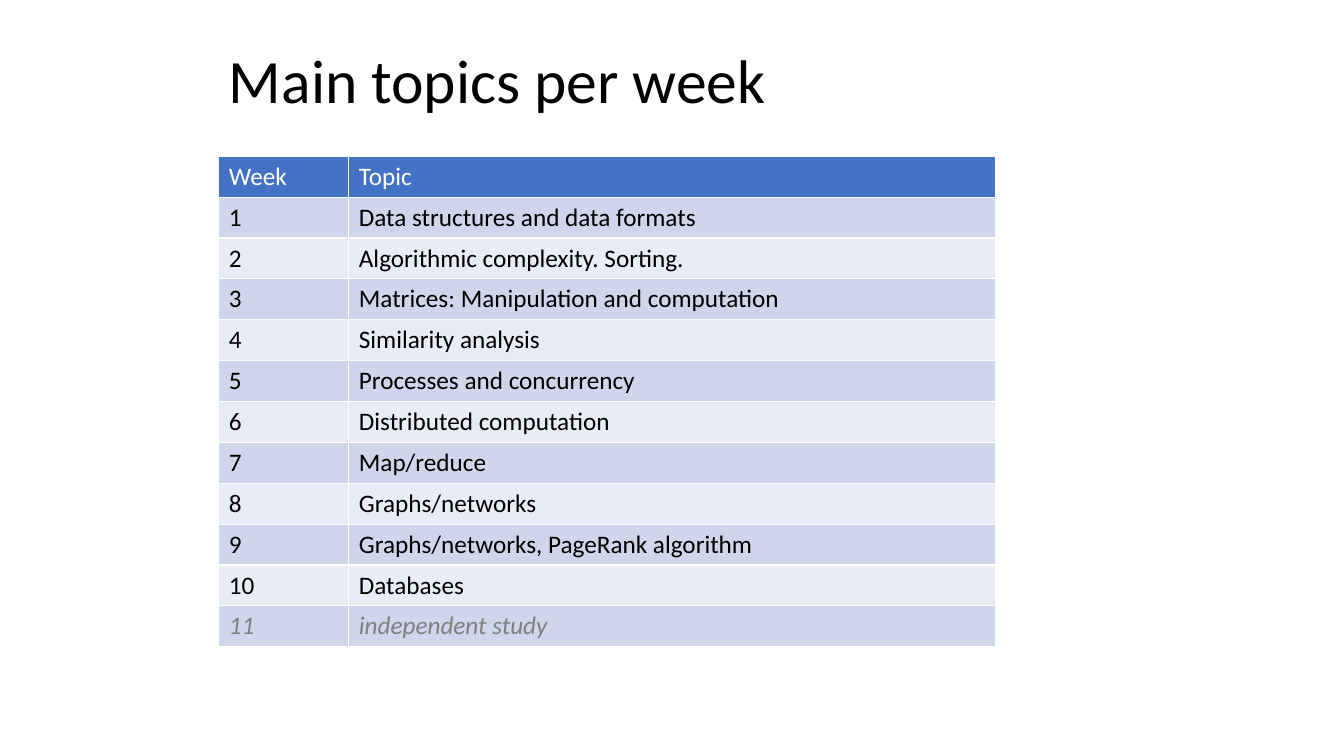
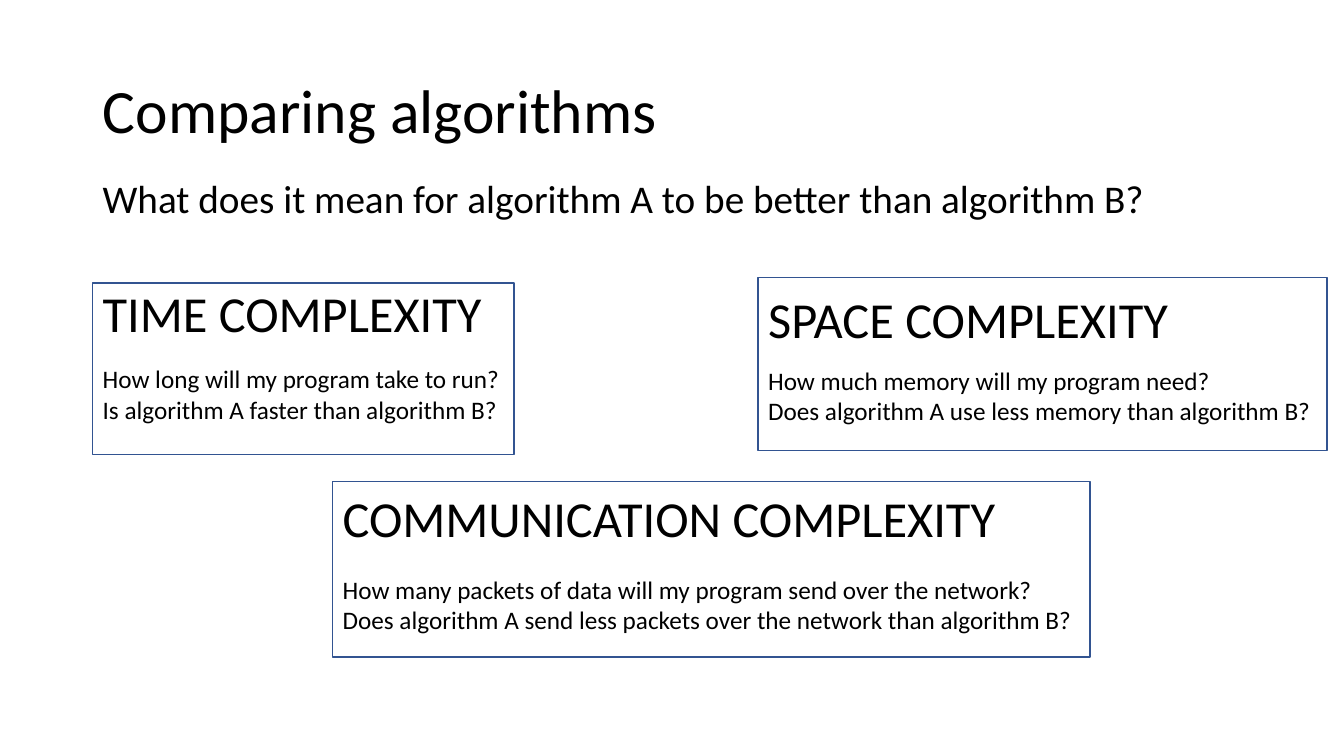
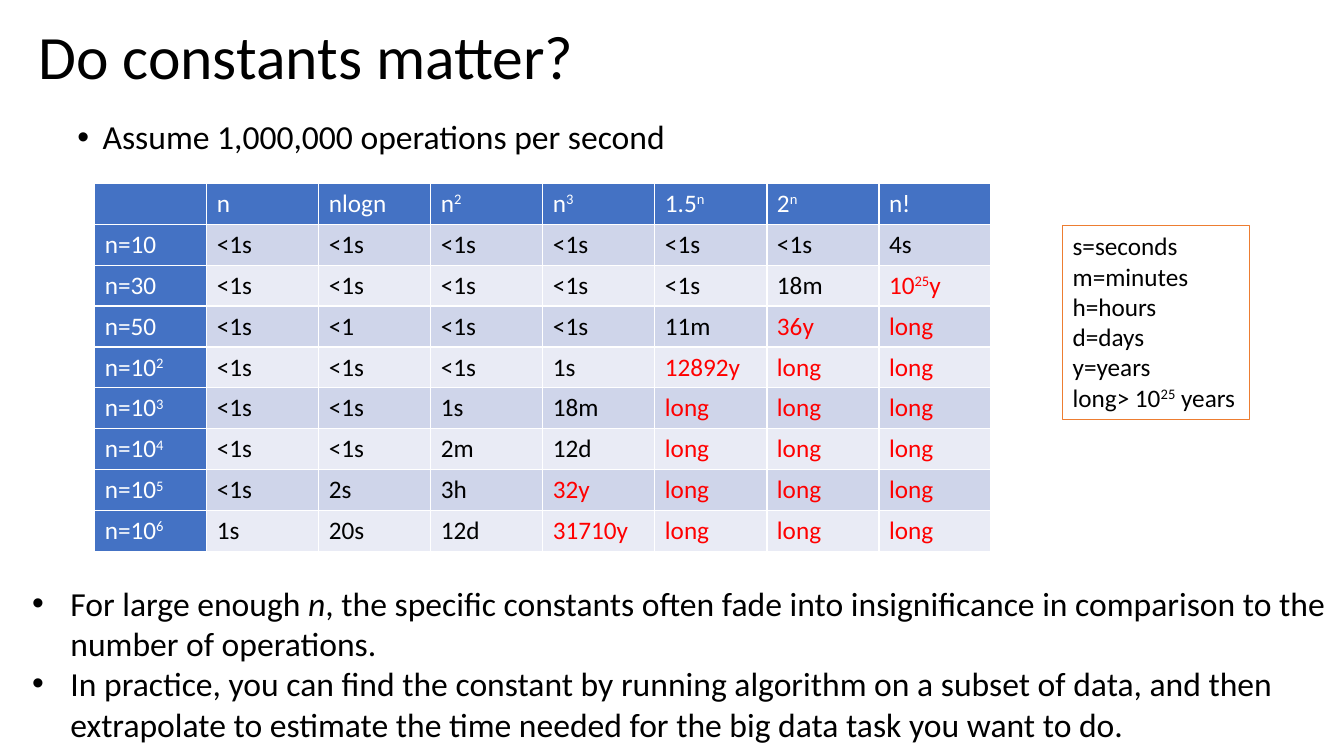
from dataclasses import dataclass

from lxml.etree import SubElement
from pptx import Presentation
from pptx.dml.color import RGBColor
from pptx.enum.shapes import MSO_SHAPE
from pptx.enum.text import MSO_ANCHOR, MSO_AUTO_SIZE, PP_ALIGN
from pptx.oxml import parse_xml
from pptx.oxml.ns import nsdecls, qn
from pptx.util import Inches, Pt


@dataclass(frozen=True)
class Theme:
    font: str = "Calibri"
    ink: str = "000000"
    white: str = "FFFFFF"
    muted: str = "808080"
    alarm: str = "FF0000"
    header: str = "4472C4"
    band_dark: str = "CFD5EA"
    band_light: str = "E9EBF5"
    frame: str = "325491"
    legend_frame: str = "ED7D31"
    title: int = 44
    heading: int = 36
    lead: int = 28
    bullet: int = 24
    body: int = 18


THEME = Theme()

# In all texts, ^...^ is superscript and *...* is italic.
TOPICS = [
    "Data structures and data formats",
    "Algorithmic complexity. Sorting.",
    "Matrices: Manipulation and computation",
    "Similarity analysis",
    "Processes and concurrency",
    "Distributed computation",
    "Map/reduce",
    "Graphs/networks",
    "Graphs/networks, PageRank algorithm",
    "Databases",
    "independent study",
]

QUESTION = "What does it mean for algorithm A to be better than algorithm B?"

# heading, questions, frame box, heading (top, width), questions top
COMPLEXITIES = [
    ("TIME COMPLEXITY",
     ["How long will my program take to run?",
      "Is algorithm A faster than algorithm B?"],
     (0.92, 2.81, 4.18, 1.7), (2.75, 4), 3.56),
    ("SPACE COMPLEXITY",
     ["How much memory will my program need?",
      "Does algorithm A use less memory than algorithm B?"],
     (7.52, 2.75, 5.64, 1.72), (2.81, 4.21), 3.57),
    ("COMMUNICATION COMPLEXITY",
     ["How many packets of data will my program send over the network?",
      "Does algorithm A send less packets over the network than algorithm B?"],
     (3.3, 4.78, 7.51, 1.74), (4.78, 6.75), 5.65),
]

RUN_TIMES = [
    ["", "n", "nlogn", "n^2^", "n^3^", "1.5^n^", "2^n^", "n!"],
    ["n=10", "<1s", "<1s", "<1s", "<1s", "<1s", "<1s", "4s"],
    ["n=30", "<1s", "<1s", "<1s", "<1s", "<1s", "18m", "10^25^y"],
    ["n=50", "<1s", "<1", "<1s", "<1s", "11m", "36y", "long"],
    ["n=10^2^", "<1s", "<1s", "<1s", "1s", "12892y", "long", "long"],
    ["n=10^3^", "<1s", "<1s", "1s", "18m", "long", "long", "long"],
    ["n=10^4^", "<1s", "<1s", "2m", "12d", "long", "long", "long"],
    ["n=10^5^", "<1s", "2s", "3h", "32y", "long", "long", "long"],
    ["n=10^6^", "1s", "20s", "12d", "31710y", "long", "long", "long"],
]

UNITS = ["s=seconds", "m=minutes", "h=hours", "d=days", "y=years",
         "long> 10^25^ years"]

ASSUMPTION = "Assume 1,000,000 operations per second"

CONCLUSIONS = [
    "For large enough *n*, the specific constants often fade into "
    "insignificance in comparison to the number of operations.",
    "In practice, you can find the constant by running algorithm on a subset "
    "of data, and then extrapolate to estimate the time needed for the big "
    "data task you want to do.",
]


def color(code):
    return RGBColor.from_string(code)


def add_bullet(paragraph, indent):
    properties = paragraph._p.get_or_add_pPr()
    properties.set("marL", str(Inches(indent)))
    properties.set("indent", str(-Inches(indent)))
    SubElement(properties, qn("a:buFont")).set("typeface", "Arial")
    SubElement(properties, qn("a:buChar")).set("char", "•")


def write(frame, lines, *, size=THEME.body, ink=THEME.ink, italic=False,
          spacing=None, before=None, indent=None):
    """Fill a text frame with one paragraph per line; indent adds bullets."""
    for number, line in enumerate(lines):
        paragraph = frame.add_paragraph() if number else frame.paragraphs[0]
        paragraph.alignment = PP_ALIGN.LEFT
        paragraph.line_spacing = spacing
        paragraph.space_before = before
        if indent:
            add_bullet(paragraph, indent)
        for level, part in enumerate(line.split("^")):
            for slant, piece in enumerate(part.split("*")):
                if not piece:
                    continue
                run = paragraph.add_run()
                run.text = piece
                run.font.name = THEME.font
                run.font.size = Pt(size)
                run.font.color.rgb = color(ink)
                run.font.italic = italic or slant % 2 == 1
                if level % 2:
                    run.font._element.set("baseline", "30000")


def inches(box):
    return [Inches(length) for length in box]


def add_text(slide, box, lines, wrap=True, **text_format):
    frame = slide.shapes.add_textbox(*inches(box)).text_frame
    frame.word_wrap = wrap
    write(frame, lines, **text_format)


def add_frame(slide, box, line, width):
    """Add an unfilled rectangle and return its text frame."""
    rectangle = slide.shapes.add_shape(MSO_SHAPE.RECTANGLE, *inches(box))
    rectangle.shadow.inherit = False
    rectangle.fill.background()
    rectangle.line.color.rgb = color(line)
    rectangle.line.width = Pt(width)
    return rectangle.text_frame


def add_titled_slide(deck, title, box):
    slide = deck.slides.add_slide(deck.slide_layouts[5])
    heading = slide.shapes.title
    heading.left, heading.top, heading.width, heading.height = inches(box)
    frame = heading.text_frame
    frame.word_wrap = True
    frame.auto_size = MSO_AUTO_SIZE.NONE
    frame.vertical_anchor = MSO_ANCHOR.MIDDLE
    write(frame, [title], size=THEME.title, spacing=0.9)
    return slide


def set_borders(cell):
    properties = cell._tc.get_or_add_tcPr()
    for place, side in enumerate("LRTB"):
        properties.insert(place, parse_xml(
            f'<a:ln{side} {nsdecls("a")} w="{Pt(1)}"><a:solidFill>'
            f'<a:srgbClr val="{THEME.white}"/></a:solidFill></a:ln{side}>'))


def add_banded_table(slide, box, rows, widths, cell_format, header_column=False):
    """cell_format(row values, value) gives the text format of a body cell."""
    table = slide.shapes.add_table(len(rows), len(widths), *inches(box)).table
    for column, width in zip(table.columns, widths):
        column.width = Inches(width)
    for r, values in enumerate(rows):
        table.rows[r].height = Inches(box[3] / len(rows))
        for c, value in enumerate(values):
            cell = table.cell(r, c)
            is_header = r == 0 or (header_column and c == 0)
            band = THEME.band_dark if r % 2 else THEME.band_light
            cell.fill.solid()
            cell.fill.fore_color.rgb = color(THEME.header if is_header else band)
            set_borders(cell)
            style = {"ink": THEME.white} if is_header else cell_format(values, value)
            write(cell.text_frame, [value], **style)


def topic_format(values, _):
    if values[1] == TOPICS[-1]:
        return {"ink": THEME.muted, "italic": True}
    return {}


def run_time_format(_, value):
    takes_years = value == "long" or value.endswith("y")
    return {"ink": THEME.alarm if takes_years else THEME.ink}


def build_topics(deck):
    slide = add_titled_slide(deck, "Main topics per week", (2.17, 0.1, 8.62, 1.45))
    weeks = [(str(week), topic) for week, topic in enumerate(TOPICS, 1)]
    add_banded_table(slide, (2.17, 1.55, 7.7, 4.87), [("Week", "Topic")] + weeks,
                     (1.29, 6.41), topic_format)


def build_comparison(deck):
    slide = add_titled_slide(deck, "Comparing algorithms", (0.92, 0.4, 11.5, 1.45))
    add_text(slide, (0.92, 1.73, 11.17, 0.74), [QUESTION], size=THEME.lead,
             spacing=0.9, before=Pt(10))
    for heading, questions, box, (top, width), questions_top in COMPLEXITIES:
        left = box[0]
        add_text(slide, (left, top, width, 0.71), [heading], wrap=False,
                 size=THEME.heading)
        add_text(slide, (left, questions_top, box[2], 0.71), questions, wrap=False)
        add_frame(slide, box, THEME.frame, 1)


def build_constants(deck):
    slide = add_titled_slide(deck, "Do constants matter?", (0.28, -0.13, 11.5, 1.45))
    add_text(slide, (0.67, 1.15, 11.1, 0.64), [ASSUMPTION], size=THEME.bullet,
             spacing=0.9, before=Pt(10), indent=0.25)
    columns = len(RUN_TIMES[0])
    add_banded_table(slide, (0.94, 1.82, 8.89, 3.65), RUN_TIMES,
                     [8.89 / columns] * columns, run_time_format,
                     header_column=True)
    legend = add_frame(slide, (10.54, 2.24, 1.85, 1.92), THEME.legend_frame, 0.75)
    legend.word_wrap = False
    legend.vertical_anchor = MSO_ANCHOR.TOP
    write(legend, UNITS)
    add_text(slide, (0.22, 5.73, 13.11, 1.77), CONCLUSIONS, size=THEME.bullet,
             indent=0.38)


def main():
    deck = Presentation()
    deck.slide_width, deck.slide_height = Inches(13.33), Inches(7.5)
    for build in (build_topics, build_comparison, build_constants):
        build(deck)
    deck.save("out.pptx")


if __name__ == "__main__":
    main()
